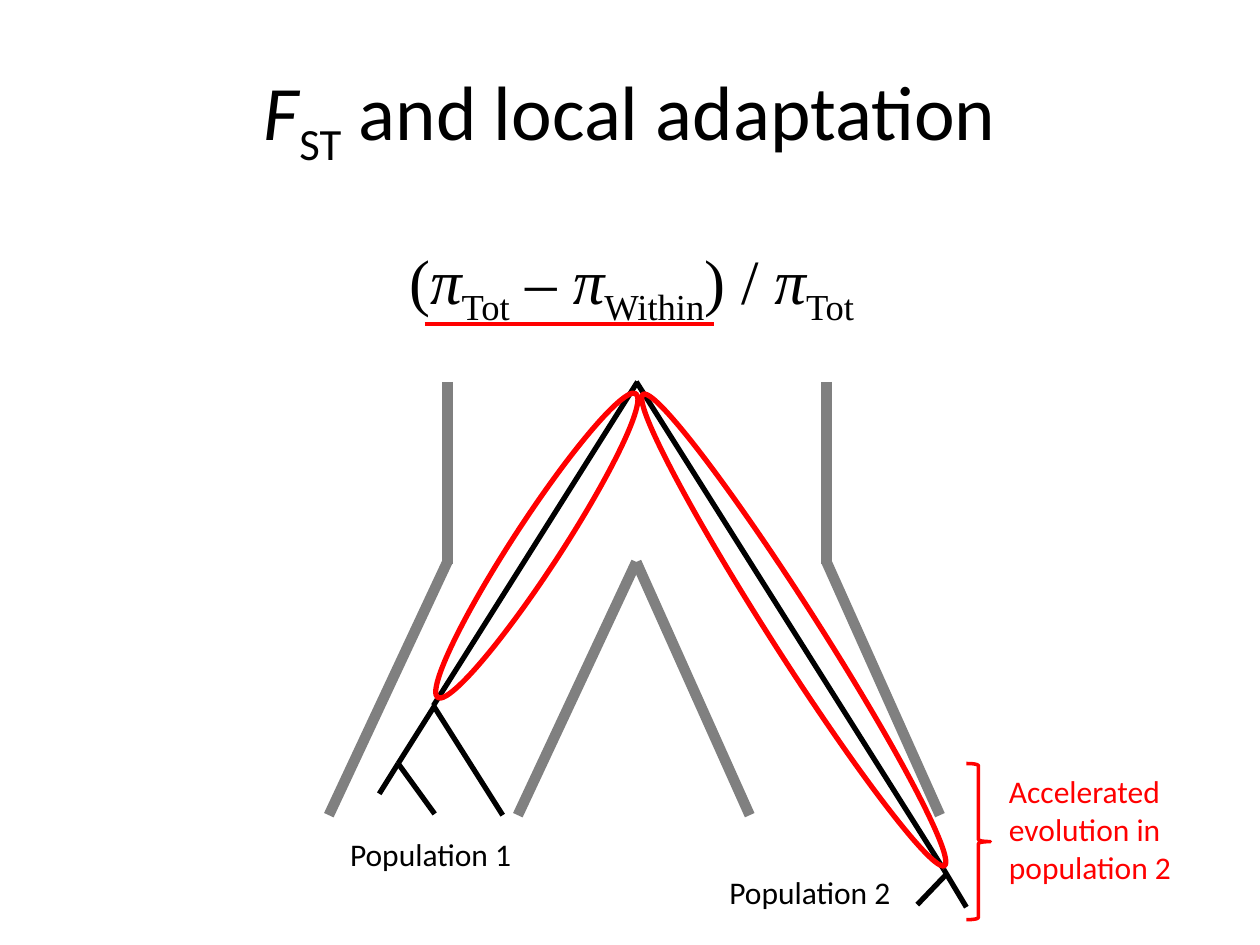
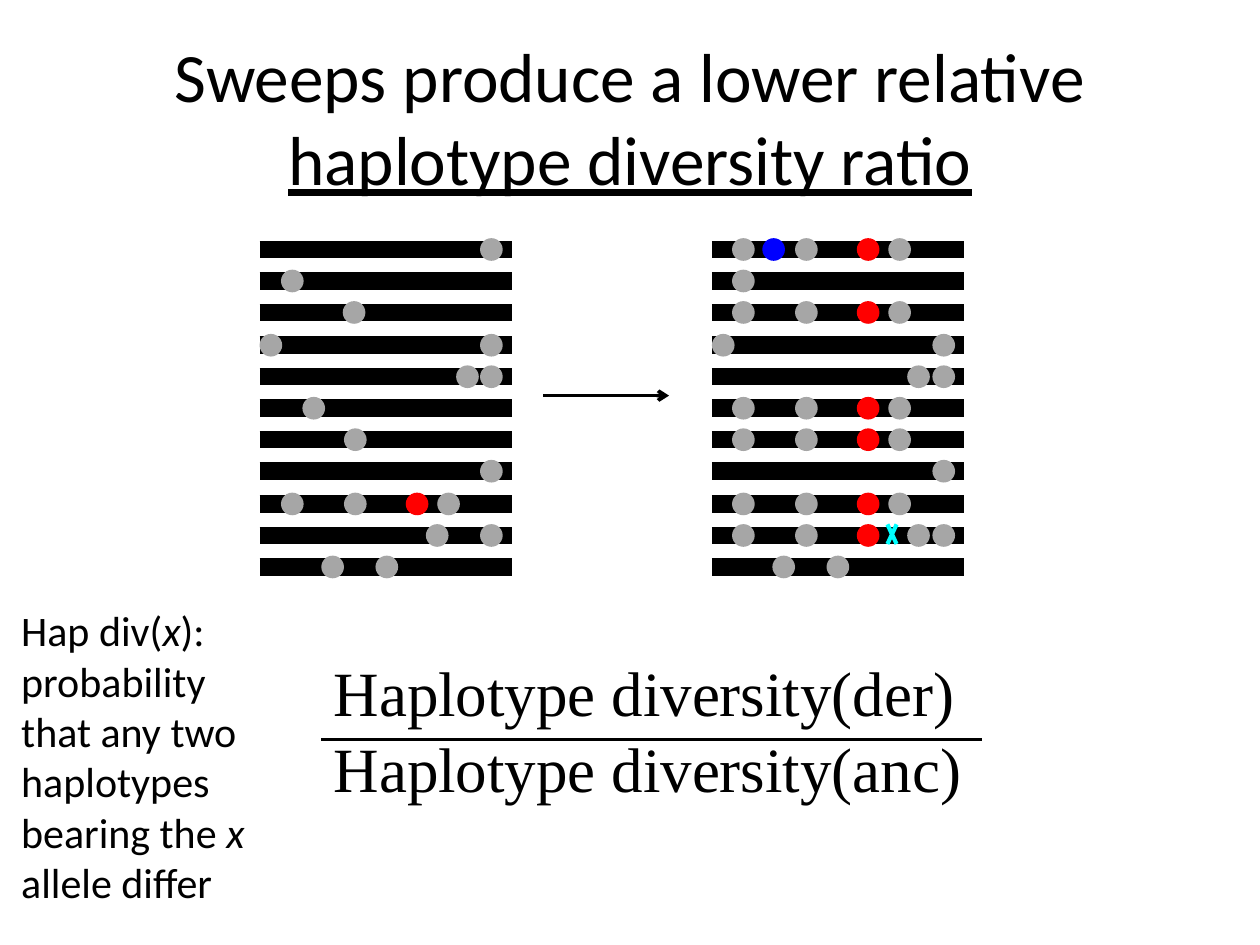
from pptx import Presentation
from pptx.dml.color import RGBColor
from pptx.enum.shapes import MSO_CONNECTOR, MSO_SHAPE
from pptx.enum.text import MSO_ANCHOR, MSO_AUTO_SIZE, PP_ALIGN
from pptx.oxml import parse_xml
from pptx.oxml.ns import nsdecls, qn
from pptx.util import Pt

PX = 9144  # 100 px to the inch

BLACK = RGBColor(0x00, 0x00, 0x00)
GREY = RGBColor(0x80, 0x80, 0x80)
LIGHT_GREY = RGBColor(0xA6, 0xA6, 0xA6)
RED = RGBColor(0xFF, 0x00, 0x00)
BLUE = RGBColor(0x00, 0x00, 0xFF)
CYAN = RGBColor(0x00, 0xFF, 0xFF)

SANS, SERIF = "Calibri", "Times New Roman"
CENTER, LEFT = PP_ALIGN.CENTER, PP_ALIGN.LEFT
MIDDLE = MSO_ANCHOR.MIDDLE
GROW = MSO_AUTO_SIZE.SHAPE_TO_FIT_TEXT
STRAIGHT = MSO_CONNECTOR.STRAIGHT
ELLIPSE, BRACE = MSO_SHAPE.OVAL, MSO_SHAPE.RIGHT_BRACE
MULTIPLY = MSO_SHAPE.MATH_MULTIPLY

TITLE_BOX = (50, 30, 900, 125)


def add_line(s, x1, y1, x2, y2, color, width):
    c = s.shapes.add_connector(STRAIGHT, x1 * PX, y1 * PX, x2 * PX, y2 * PX)
    c.line.color.rgb = color
    c.line.width = Pt(width)
    c._element.spPr.append(parse_xml(f"<a:effectLst {nsdecls('a')}/>"))
    return c


def set_text(sp, box, paragraphs, size, font=SANS, color=BLACK, align=LEFT, wrap=True):
    """Place sp and fill it; a run is (text, style), style being "", "i", "u" or "sub"."""
    sp.left, sp.top, sp.width, sp.height = (v * PX for v in box)
    tf = sp.text_frame
    tf.word_wrap = wrap
    for i, runs in enumerate(paragraphs):
        p = tf.add_paragraph() if i else tf.paragraphs[0]
        p.alignment = align
        for text, style in runs:
            r = p.add_run()
            r.text = text
            r.font.name, r.font.size = font, Pt(size)
            r.font.color.rgb = color
            if style == "i":
                r.font.italic = True
            elif style == "u":
                r.font.underline = True
            elif style == "sub":
                r._r.get_or_add_rPr().set("baseline", "-25000")
    return tf


prs = Presentation()
prs.slide_width, prs.slide_height = 1000 * PX, 750 * PX
title_only = prs.slide_layouts[5]

titles = [
    (44, [("F", "i"), ("ST", "sub"), (" and local adaptation", "")]),
    (39.6, [("Sweeps produce a lower relative ", ""), ("haplotype diversity ratio", "u")]),
]
slides = []
for size, runs in titles:
    s = prs.slides.add_slide(title_only)
    tf = set_text(s.shapes.title, TITLE_BOX, [runs], size, align=CENTER)
    tf.vertical_anchor = MIDDLE
    slides.append(s)
fst_slide, sweep_slide = slides

# Slide 1: population tree
population_walls = [
    (505, 446, 411, 647), (505, 446, 595, 647),
    (355, 446, 261, 647), (656, 446, 746, 647),
    (355, 303, 355, 448), (656, 303, 656, 448),
]
lineages = [
    (506, 303, 344, 560), (344, 560, 399, 647), (505, 303, 749, 690),
    (751, 694, 728, 718), (345, 560, 316, 606), (316, 606, 345, 646),
    (316, 606, 301, 630), (749, 690, 767, 720),
]
for ends in population_walls:
    add_line(fst_slide, *ends, GREY, 6)
for ends in lineages:
    add_line(fst_slide, *ends, BLACK, 3)

fst_formula = [
    ("(", ""), ("π", "i"), ("Tot", "sub"), (" – ", ""), ("π", "i"), ("Within", "sub"),
    (") / ", ""), ("π", "i"), ("Tot ", "sub"),
]
accelerated = [("Accelerated evolution in population 2", "")]
hap_div = [
    ("Hap div(", ""), ("x", "i"),
    ("): probability that any two haplotypes bearing the ", ""),
    ("x", "i"), (" allele differ", ""),
]
ratio = [[("Haplotype diversity(der)", "")], [("Haplotype diversity(anc)", "")]]
text_boxes = [
    (fst_slide, (268, 658, 150, 40), [[("Population 1", "")]], 18, SANS, BLACK, LEFT, False),
    (fst_slide, (569, 688, 150, 40), [[("Population 2", "")]], 18, SANS, BLACK, LEFT, False),
    (fst_slide, (305, 187, 400, 71), [fst_formula], 36, SERIF, BLACK, CENTER, False),
    (fst_slide, (791, 608, 150, 101), [accelerated], 18, SANS, RED, LEFT, True),
    (sweep_slide, (255, 514, 524, 131), ratio, 36, SERIF, BLACK, LEFT, False),
    (sweep_slide, (7, 475, 199, 252), [hap_div], 24, SANS, BLACK, LEFT, True),
]
for s, box, *content in text_boxes:
    sp = s.shapes.add_textbox(0, 0, PX, PX)
    set_text(sp, box, *content).auto_size = GROW

add_line(fst_slide, 337, 257, 567, 257, RED, 2)
red_outlines = [
    (BRACE, (767, 606, 19, 124), 0, 2),
    (ELLIPSE, (407, 289, 38, 288), 33.1, 3),
    (ELLIPSE, (611, 278, 38, 444), 327.4, 3),
]
for kind, box, rotation, width in red_outlines:
    sp = fst_slide.shapes.add_shape(kind, *(v * PX for v in box))
    sp.shadow.inherit = False
    sp.fill.background()
    sp.line.color.rgb = RED
    sp.line.width = Pt(width)
    sp.rotation = rotation

# Slide 2: haplotypes before and after the sweep
ROW_TOP, ROW_STEP, BAR_LENGTH, DOT = 198, 25.2, 200, 18
SWEPT = [16, 66, 140]  # neutral alleles carried along with the red one

before = [[175], [17], [66], [0, 175], [156, 175], [34], [67], [175],
          [17, 67, 141], [132, 175], [49, 92]]
after = [[16], [16], SWEPT, [0, 175], [155, 175], SWEPT, SWEPT, [175],
         SWEPT, [16, 66, 155, 175], [48, 91]]
after[0] = SWEPT

# left edge, neutral alleles by row, selected allele offset and its rows
panels = [
    (206, before, 116, [8]),
    (565, after, 115, [0, 2, 5, 6, 8, 9]),
]
for left, rows, selected_x, selected_rows in panels:
    for row, neutral in enumerate(rows):
        y = round(ROW_TOP + row * ROW_STEP)
        add_line(sweep_slide, left, y, left + BAR_LENGTH, y, BLACK, 10)
        dots = [(x, LIGHT_GREY) for x in neutral]
        if row in selected_rows:
            dots.append((selected_x, RED))
        if rows is after and row == 0:
            dots.append((40, BLUE))  # new mutation
        for x, color in dots:
            sp = sweep_slide.shapes.add_shape(
                ELLIPSE, (left + x) * PX, (y - 9) * PX, DOT * PX, DOT * PX)
            sp.shadow.inherit = False
            sp.fill.solid()
            sp.fill.fore_color.rgb = color
            sp.line.fill.background()

recombination = sweep_slide.shapes.add_shape(MULTIPLY, 701 * PX, 409 * PX, 14 * PX, 30 * PX)
recombination.shadow.inherit = False
recombination.fill.solid()
recombination.fill.fore_color.rgb = CYAN
recombination.line.fill.background()

arrow = add_line(sweep_slide, 431, 314, 531, 314, BLACK, 2)
arrow._element.spPr.find(qn("a:ln")).append(
    parse_xml(f'<a:tailEnd {nsdecls("a")} type="arrow"/>'))
add_line(sweep_slide, 255, 587, 779, 587, BLACK, 2)  # fraction bar

prs.save("out.pptx")
